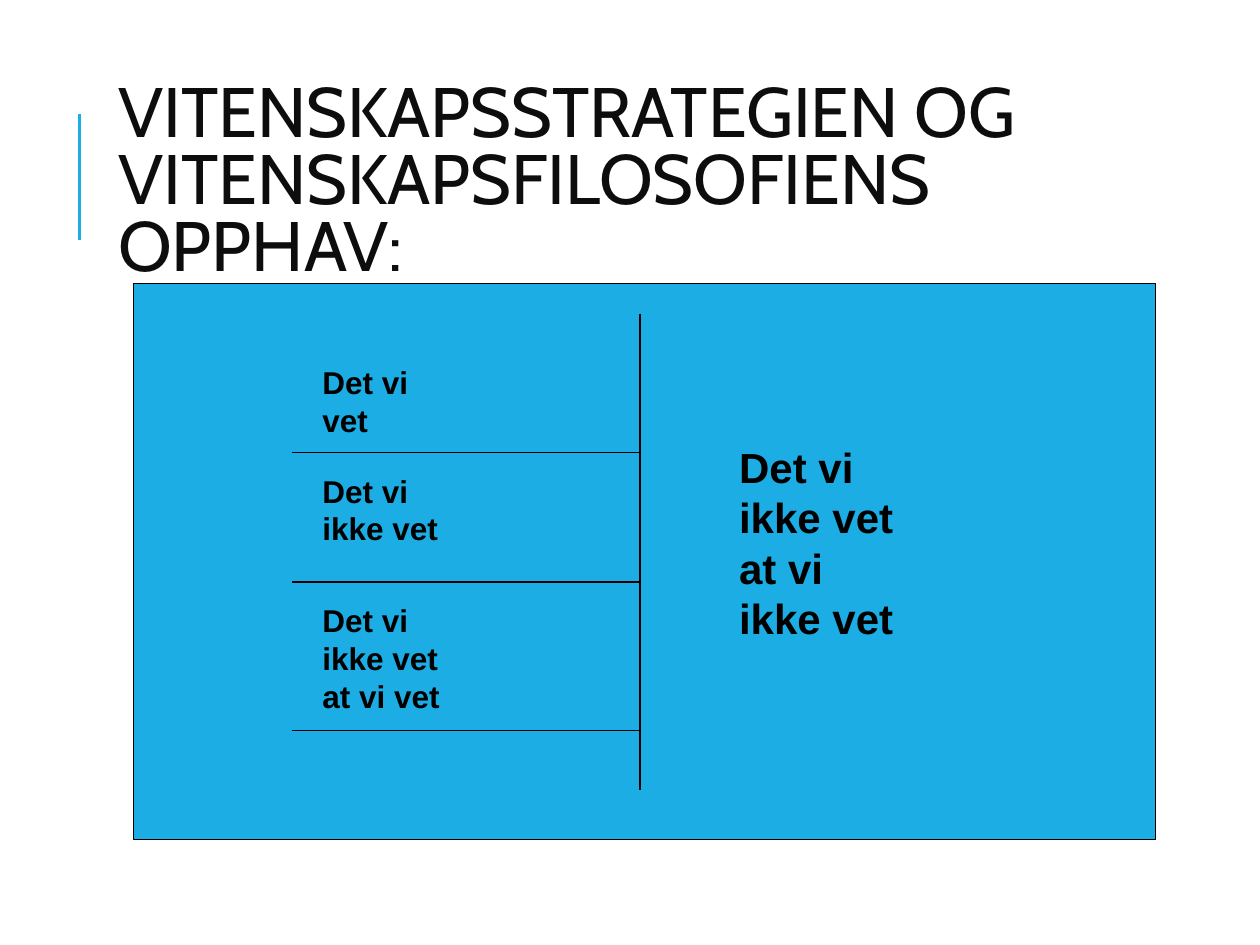
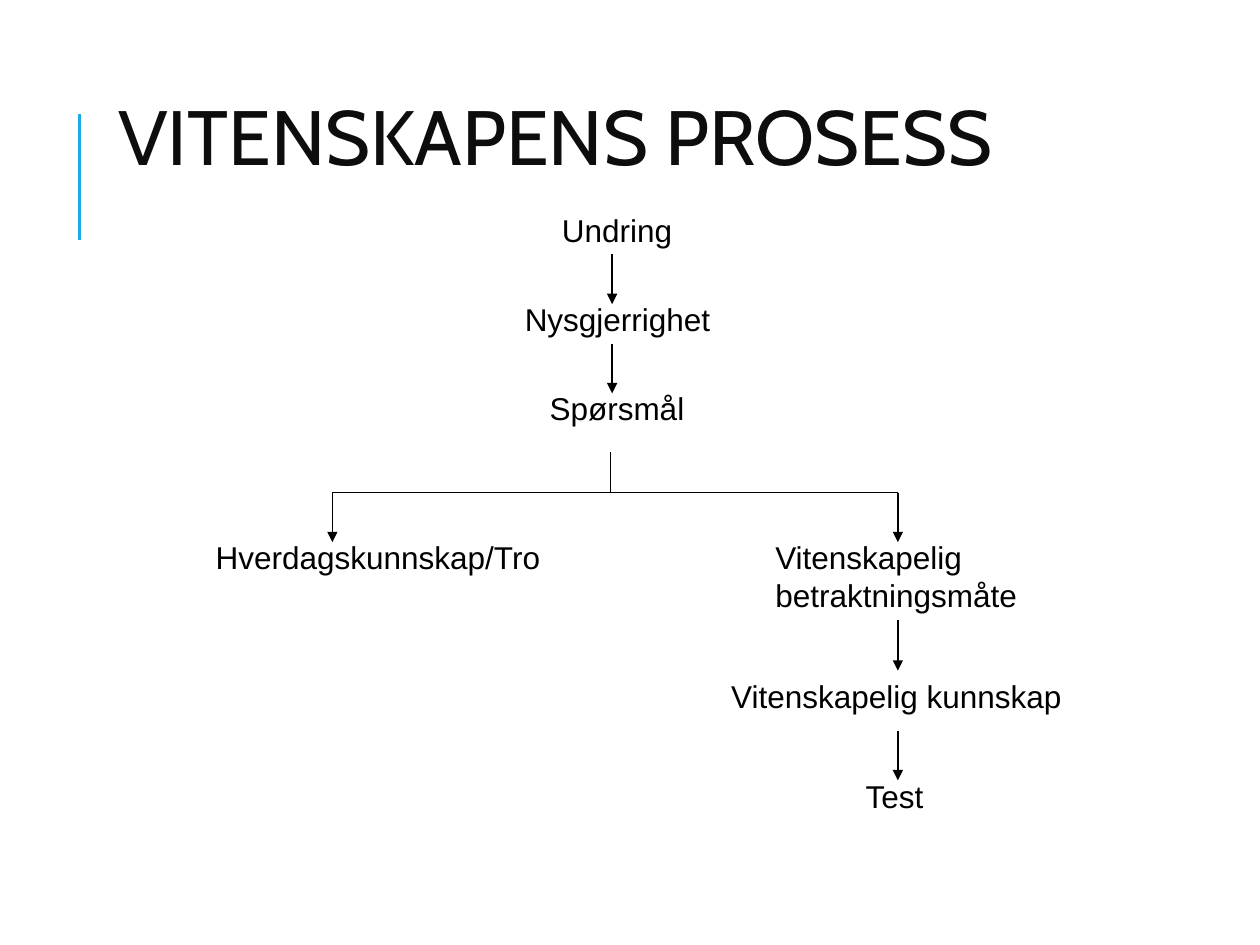
import pptx
import pptx.dml.color
import pptx.enum.shapes
import pptx.enum.text
import pptx.oxml
import pptx.oxml.ns
import pptx.util

Cm = pptx.util.Cm
Pt = pptx.util.Pt
BOTTOM, TOP = 2, 0


class Deck:
    colours = {"accent": "1CADE4", "title": "0D0D0D", "ink": "000000"}
    title_font, body_font = "Cabin", "Arial"
    title_left, title_width = 2.13, 20.24

    def __init__(self):
        self.presentation = pptx.Presentation()
        self.presentation.slide_width = Cm(25.4)
        self.presentation.slide_height = Cm(19.05)
        self.slide = None

    def colour(self, name):
        return pptx.dml.color.RGBColor.from_string(self.colours[name])

    def run(self, paragraph, text, font, size, colour, bold=False):
        run = paragraph.add_run()
        run.text = text
        run.font.name = font
        run.font.size = Pt(size)
        run.font.bold = bold
        run.font.color.rgb = self.colour(colour)

    def new_slide(self, title, size, top, height):
        layout = self.presentation.slide_layouts.get_by_name("Title Only")
        self.slide = self.presentation.slides.add_slide(layout)
        heading = self.slide.shapes.title
        heading.left, heading.top = Cm(self.title_left), Cm(top)
        heading.width, heading.height = Cm(self.title_width), Cm(height)
        frame = heading.text_frame
        frame.word_wrap = True
        frame.auto_size = pptx.enum.text.MSO_AUTO_SIZE.NONE
        frame.vertical_anchor = pptx.enum.text.MSO_ANCHOR.MIDDLE
        paragraph = frame.paragraphs[0]
        paragraph.alignment = pptx.enum.text.PP_ALIGN.LEFT
        paragraph.line_spacing = 0.8
        self.run(paragraph, title, self.title_font, size, "title")
        self.line((1.6, 4.83), (1.6, 2.29), "accent", 1.5)

    def line(self, start, end, colour="ink", weight=0.75, arrow=False):
        line = self.slide.shapes.add_connector(
            pptx.enum.shapes.MSO_CONNECTOR.STRAIGHT,
            *(Cm(length) for length in (*start, *end)))
        line.line.color.rgb = self.colour(colour)
        line.line.width = Pt(weight)
        if arrow:
            line.line._get_or_add_ln().append(pptx.oxml.parse_xml(
                f'<a:tailEnd {pptx.oxml.ns.nsdecls("a")} type="triangle"/>'))
        line._element.spPr.append(pptx.oxml.parse_xml(
            f'<a:effectLst {pptx.oxml.ns.nsdecls("a")}/>'))
        return line

    def down_arrow(self, x, top, length=1):
        return self.line((x, top), (x, top + length), arrow=True)

    def panel(self, left, top, width, height):
        panel = self.slide.shapes.add_shape(
            pptx.enum.shapes.MSO_SHAPE.RECTANGLE,
            Cm(left), Cm(top), Cm(width), Cm(height))
        panel.shadow.inherit = False
        panel.fill.solid()
        panel.fill.fore_color.rgb = self.colour("accent")
        panel.line.color.rgb = self.colour("ink")
        panel.line.width = Pt(0.75)

    def label(self, lines, left, top, width, size=18, bold=False):
        # Box height follows from the number of lines and the text size
        height = 0.25 + len(lines) * size * 0.0423
        box = self.slide.shapes.add_textbox(Cm(left), Cm(top), Cm(width), Cm(height))
        frame = box.text_frame
        frame.word_wrap = False
        frame.auto_size = pptx.enum.text.MSO_AUTO_SIZE.SHAPE_TO_FIT_TEXT
        for index, text in enumerate(lines):
            paragraph = frame.add_paragraph() if index else frame.paragraphs[0]
            self.run(paragraph, text, self.body_font, size, "ink", bold)
        return box

    def step(self, lines, centre, top, width):
        return self.label(lines, centre - width / 2, top, width)


def origin_slide(deck):
    deck.new_slide("VITENSKAPSSTRATEGIEN OG VITENSKAPSFILOSOFIENS OPPHAV:",
                   40, 1.63, 4.17)
    deck.panel(2.69, 5.72, 20.6, 11.2)

    # Divider and the rules under each kind of knowledge
    divider = 12.9
    deck.line((divider, 6.32), (divider, 15.93))
    for rule in (9.12, 11.73, 14.73):
        deck.line((divider, rule), (5.89, rule))

    # What we know about, and what lies outside it
    for lines, top, width in (
            (["Det vi", "vet"], 7.19, 2.3),
            (["Det vi", "ikke vet"], 9.38, 2.9),
            (["Det vi", "ikke vet", "at vi vet"], 11.99, 2.94)):
        deck.label(lines, 6.25, top, width, bold=True)
    deck.label(["Det vi", "ikke vet", "at vi", "ikke vet"],
               14.65, 8.77, 3.68, size=24, bold=True)


def process_slide(deck):
    deck.new_slide("VITENSKAPENS PROSESS", 44, 0, 5.79)

    # From wonder to question
    first_top, spacing = 4.12, 1.8
    for index, (text, width) in enumerate(
            (("Undring", 2.8), ("Nysgjerrighet", 4.3), ("Spørsmål", 3.3))):
        top = first_top + index * spacing
        deck.step([text], 12.48, top, width)
        if index:
            deck.down_arrow(12.34, top - 0.79)

    # Fork into belief and science
    belief, science, fork = 6.7, 18.1, 9.93
    deck.line((12.3, fork), (12.3, 9.12))
    deck.line((belief, fork), (science, fork))
    for branch in (belief, science):
        deck.down_arrow(branch, fork)
    deck.step(["Hverdagskunnskap/Tro"], 7.66, 10.72, 7.12)

    # Scientific branch
    approach = deck.step(["Vitenskapelig", "betraktningsmåte"], science, 10.72, 5.44)
    knowledge = deck.step(["Vitenskapelig kunnskap"], science, 13.52, 7.22)
    deck.step(["Test"], science, 15.53, 1.8)
    to_knowledge = deck.down_arrow(science, 12.51)
    to_knowledge.begin_connect(approach, BOTTOM)
    to_knowledge.end_connect(knowledge, TOP)
    deck.down_arrow(science, 14.73)


def main():
    deck = Deck()
    origin_slide(deck)
    process_slide(deck)
    deck.presentation.save("out.pptx")


if __name__ == "__main__":
    main()
